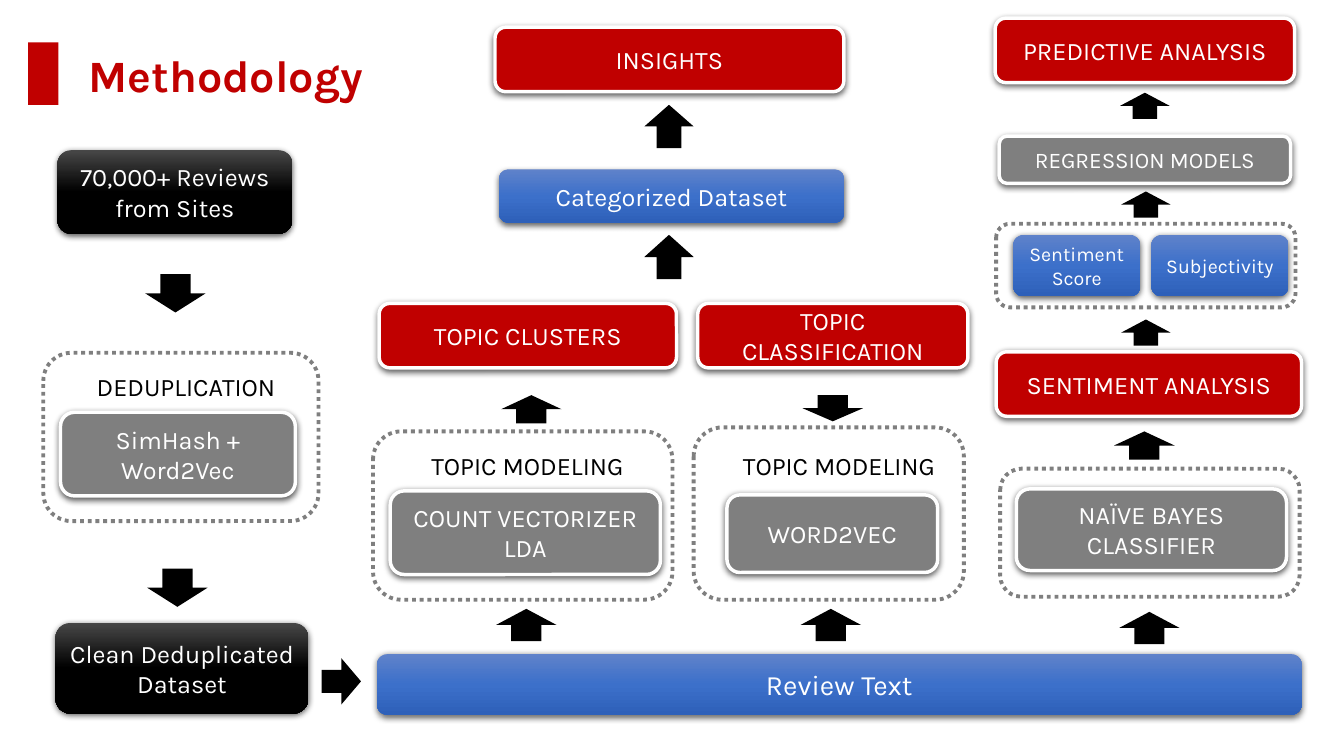
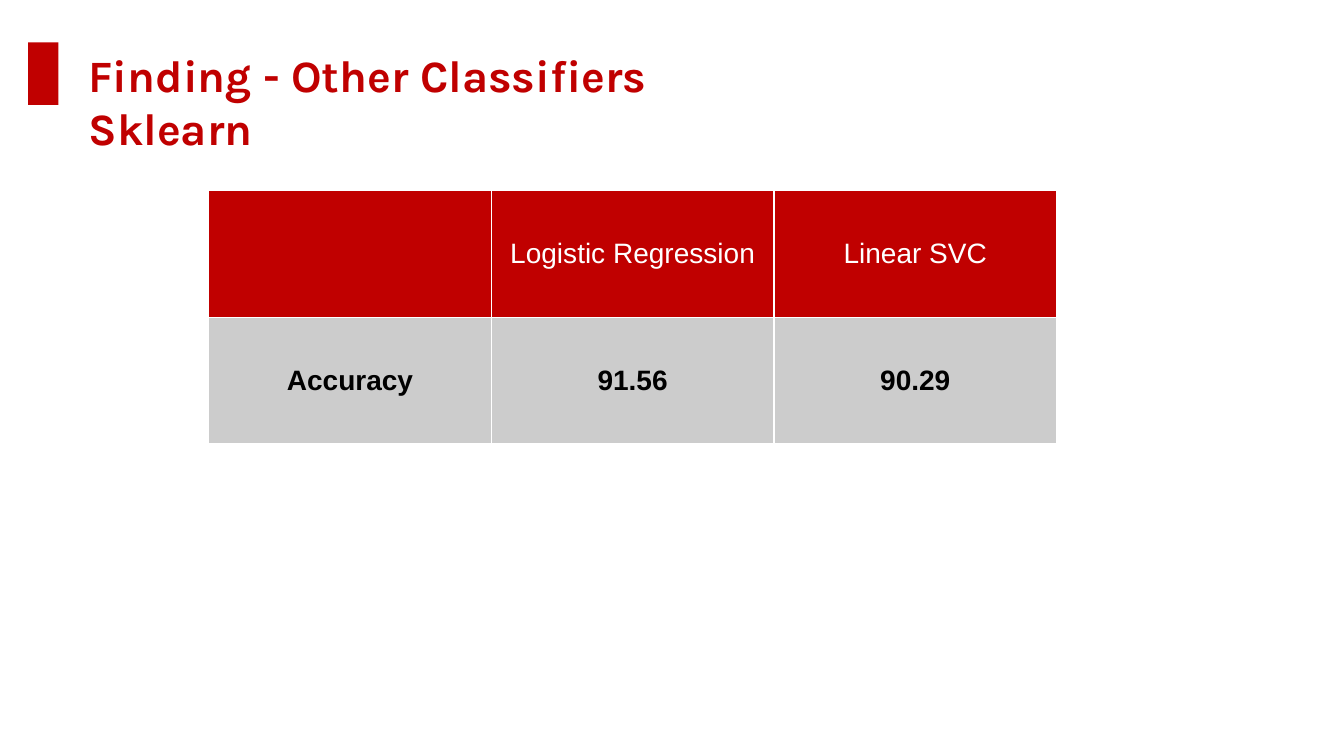
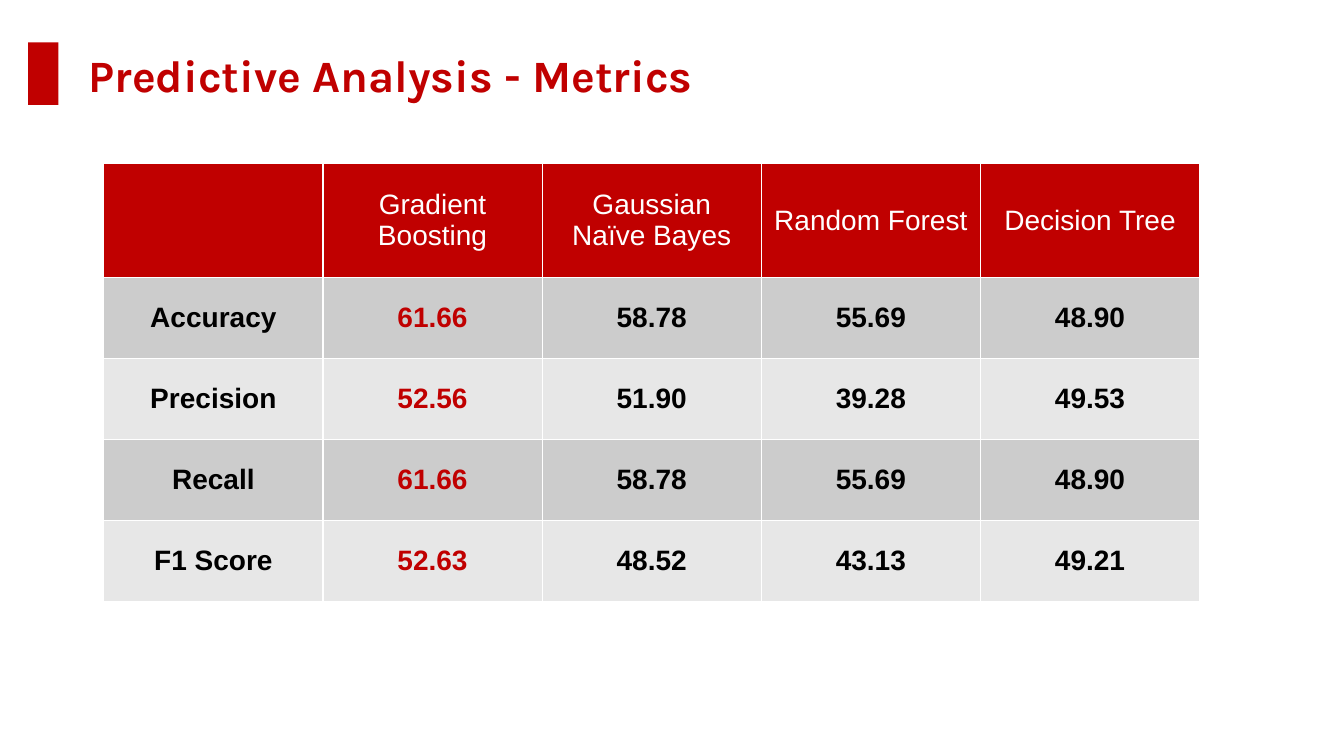
import copy
from typing import NamedTuple, Optional

import pptx
import pptx.dml.color
import pptx.enum.dml
import pptx.enum.shapes
import pptx.enum.text
import pptx.oxml
import pptx.oxml.ns
import pptx.util
from pptx.util import Inches

SHAPE = pptx.enum.shapes.MSO_SHAPE
ALIGN = pptx.enum.text.PP_ALIGN
MIDDLE = pptx.enum.text.MSO_ANCHOR.MIDDLE
qn = pptx.oxml.ns.qn
NS = pptx.oxml.ns.nsdecls("a")

# Shared look
RED, GRAY, BLACK, WHITE = "C00000", "7F7F7F", "000000", "FFFFFF"
BAND_DARK, BAND_LIGHT = "CCCCCC", "E7E7E7"
HEADING_FONT, TABLE_FONT = "Karla", "Arial"
BLACK_FADE = ("474747", "000000", "000000")
BLUE_FADE = ("5F82CA", "3C70CA", "2E60B9")


class Style(NamedTuple):
    fill: Optional[str] = None
    fade: tuple[str, ...] = ()
    outlined: bool = True


SOURCE = Style(fade=BLACK_FADE, outlined=False)
DATA = Style(fade=BLUE_FADE, outlined=False)
METHOD = Style(fill=GRAY)
RESULT = Style(fill=RED)


class Step(NamedTuple):
    text: str
    style: Style
    left: float
    top: float
    width: float
    height: float
    size: int = 18


class Box(NamedTuple):
    left: float
    top: float
    width: float
    height: float


class Arrow(NamedTuple):
    kind: SHAPE
    box: Box


class Label(NamedTuple):
    text: str
    box: Box


# Methodology content
STEPS = [
    Step("70,000+ Reviews from Sites", SOURCE, 0.57, 1.49, 2.33, 0.83),
    Step("SimHash +\nWord2Vec", METHOD, 0.6, 4.09, 2.33, 0.83),
    Step("Clean Deduplicated\nDataset", SOURCE, 0.55, 6.18, 2.51, 0.9),
    Step("Review Text", DATA, 3.74, 6.49, 9.17, 0.6, 20),
    Step("COUNT VECTORIZER\nLDA", METHOD, 3.87, 4.87, 2.68, 0.83),
    Step("WORD2VEC", METHOD, 7.21, 4.91, 2.09, 0.77),
    Step("NAÏVE BAYES\nCLASSIFIER", METHOD, 10.08, 4.85, 2.68, 0.81),
    Step("TOPIC CLUSTERS", RESULT, 3.76, 3.01, 2.95, 0.64),
    Step("TOPIC CLASSIFICATION", RESULT, 6.92, 3.01, 2.68, 0.64),
    Step("SENTIMENT ANALYSIS", RESULT, 9.88, 3.49, 3.03, 0.64),
    Step("Sentiment Score", DATA, 10.05, 2.33, 1.26, 0.61, 14),
    Step("Subjectivity", DATA, 11.42, 2.33, 1.36, 0.61, 14),
    Step("REGRESSION MODELS", METHOD, 9.91, 1.35, 2.89, 0.47, 16),
    Step("PREDICTIVE ANALYSIS", RESULT, 9.87, 0.18, 2.97, 0.64),
    Step("Categorized Dataset", DATA, 4.95, 1.68, 3.42, 0.53),
    Step("INSIGHTS", RESULT, 4.91, 0.27, 3.46, 0.64),
]
GROUP_FRAMES = [
    Box(0.43, 3.5, 2.73, 1.67),
    Box(3.7, 4.28, 2.97, 1.67),
    Box(6.88, 4.24, 2.68, 1.71),
    Box(9.88, 2.22, 2.97, 0.83),
    Box(9.92, 4.65, 2.97, 1.27),
]
GROUP_LABELS = [
    Label("DEDUPLICATION", Box(0.86, 3.63, 2.19, 0.4)),
    Label("TOPIC MODELING", Box(4.18, 4.42, 2.48, 0.4)),
    Label("TOPIC MODELING", Box(7.27, 4.42, 2.48, 0.4)),
]
UP, DOWN, RIGHT = SHAPE.UP_ARROW, SHAPE.DOWN_ARROW, SHAPE.RIGHT_ARROW
ARROWS = [
    Arrow(DOWN, Box(1.44, 2.72, 0.6, 0.38)),
    Arrow(DOWN, Box(1.46, 5.64, 0.6, 0.38)),
    Arrow(RIGHT, Box(3.19, 6.53, 0.39, 0.46)),
    Arrow(UP, Box(4.92, 6.04, 0.6, 0.32)),
    Arrow(UP, Box(7.94, 6.04, 0.6, 0.32)),
    Arrow(UP, Box(11.1, 6.07, 0.6, 0.32)),
    Arrow(UP, Box(4.97, 3.92, 0.6, 0.28)),
    Arrow(DOWN, Box(7.96, 3.92, 0.6, 0.26)),
    Arrow(UP, Box(11.05, 4.28, 0.6, 0.28)),
    Arrow(UP, Box(11.12, 3.17, 0.49, 0.26)),
    Arrow(UP, Box(11.12, 1.9, 0.49, 0.26)),
    Arrow(UP, Box(11.11, 0.92, 0.49, 0.26)),
    Arrow(UP, Box(6.39, 2.33, 0.49, 0.44)),
    Arrow(UP, Box(6.39, 1.04, 0.49, 0.43)),
]

# Table content
CLASSIFIER_ROWS = [
    ["", "Logistic Regression", "Linear SVC"],
    ["Accuracy", "91.56", "90.29"],
]
METRIC_ROWS = [
    ["", "Gradient Boosting", "Gaussian Naïve Bayes", "Random Forest", "Decision Tree"],
    ["Accuracy", "61.66", "58.78", "55.69", "48.90"],
    ["Precision", "52.56", "51.90", "39.28", "49.53"],
    ["Recall", "61.66", "58.78", "55.69", "48.90"],
    ["F1 Score", "52.63", "48.52", "43.13", "49.21"],
]


def rgb(color: str) -> pptx.dml.color.RGBColor:
    return pptx.dml.color.RGBColor.from_string(color)


def inches(box: Box) -> list[int]:
    return [Inches(length) for length in box]


def write_text(frame, text: str, *, size: int, color: str, font: str = HEADING_FONT,
               bold: bool = False, align=ALIGN.LEFT) -> None:
    for index, line in enumerate(text.split("\n")):
        paragraph = frame.add_paragraph() if index else frame.paragraphs[0]
        paragraph.alignment = align
        run = paragraph.add_run()
        run.text = line
        run.font.name, run.font.size, run.font.bold = font, pptx.util.Pt(size), bold
        run.font.color.rgb = rgb(color)


def add_text_box(slide, text: str, box: Box, **text_format) -> None:
    frame = slide.shapes.add_textbox(*inches(box)).text_frame
    frame.word_wrap = True
    write_text(frame, text, **text_format)


def add_plain_shape(slide, kind: SHAPE, box: Box, fill: Optional[str] = None):
    shape = slide.shapes.add_shape(kind, *inches(box))
    shape.shadow.inherit = False
    shape.line.fill.background()
    if fill:
        shape.fill.solid()
        shape.fill.fore_color.rgb = rgb(fill)
    else:
        shape.fill.background()
    return shape


def set_fade(shape, colors: tuple[str, ...]) -> None:
    """Fill from top to bottom with evenly spaced colours."""
    shape.fill.gradient()
    shape.fill.gradient_angle = 270
    stops = shape.element.spPr.find(".//" + qn("a:gsLst"))
    for stop in list(stops):
        stops.remove(stop)
    for index, color in enumerate(colors):
        position = index * 100000 // (len(colors) - 1)
        stops.append(pptx.oxml.parse_xml(
            f'<a:gs {NS} pos="{position}"><a:srgbClr val="{color}"/></a:gs>'))


def add_soft_shadow(shape) -> None:
    shape.element.spPr.find(qn("a:effectLst")).append(pptx.oxml.parse_xml(
        f'<a:outerShdw {NS} blurRad="57150" dist="19050" dir="5400000" algn="ctr" '
        f'rotWithShape="0"><a:srgbClr val="{BLACK}"><a:alpha val="63000"/>'
        '</a:srgbClr></a:outerShdw>'))


def add_step(slide, step: Step) -> None:
    box = Box(step.left, step.top, step.width, step.height)
    shape = add_plain_shape(slide, SHAPE.ROUNDED_RECTANGLE, box, step.style.fill)
    if step.style.fade:
        set_fade(shape, step.style.fade)
    if step.style.outlined:
        shape.line.color.rgb = rgb(WHITE)
        shape.line.width = pptx.util.Pt(2.5)
    add_soft_shadow(shape)
    shape.text_frame.word_wrap = True
    shape.text_frame.vertical_anchor = MIDDLE
    write_text(shape.text_frame, step.text, size=step.size, color=WHITE, align=ALIGN.CENTER)


def add_group_frame(slide, box: Box) -> None:
    frame = add_plain_shape(slide, SHAPE.ROUNDED_RECTANGLE, box)
    frame.line.color.rgb = rgb(GRAY)
    frame.line.width = pptx.util.Pt(2.75)
    frame.line.dash_style = pptx.enum.dml.MSO_LINE.ROUND_DOT


def add_cell_borders(cell) -> None:
    properties = cell._tc.get_or_add_tcPr()
    for side in ("lnL", "lnR", "lnT", "lnB"):
        properties.append(pptx.oxml.parse_xml(
            f'<a:{side} {NS} w="12700"><a:solidFill><a:srgbClr val="{WHITE}"/>'
            f'</a:solidFill></a:{side}>'))


def add_score_table(slide, rows: list[list[str]], box: Box, header_height: float,
                    best_column: Optional[int] = None) -> None:
    table = slide.shapes.add_table(len(rows), len(rows[0]), *inches(box)).table
    body_height = (box.height - header_height) / (len(rows) - 1)
    for row, values in enumerate(rows):
        header = row == 0
        table.rows[row].height = Inches(header_height if header else body_height)
        band = RED if header else BAND_DARK if row % 2 else BAND_LIGHT
        for column, value in enumerate(values):
            cell = table.cell(row, column)
            add_cell_borders(cell)
            cell.fill.solid()
            cell.fill.fore_color.rgb = rgb(band)
            cell.vertical_anchor = MIDDLE
            color = WHITE if header else RED if column == best_column else BLACK
            if value:
                write_text(cell.text_frame, value, size=20, color=color, font=TABLE_FONT,
                           bold=not header, align=ALIGN.CENTER)


def add_titled_slide(deck, title: str, title_height: float = 0.64):
    slide = deck.slides.add_slide(deck.slide_layouts[6])
    add_plain_shape(slide, SHAPE.RECTANGLE, Box(0.28, 0.42, 0.3, 0.62), RED)
    add_text_box(slide, title, Box(0.78, 0.42, 6.67, title_height),
                 size=32, color=RED, bold=True)
    return slide


def main() -> None:
    deck = pptx.Presentation()
    deck.slide_width, deck.slide_height = Inches(13.33), Inches(7.5)

    # Methodology flow
    methodology = add_titled_slide(deck, "Methodology")
    for frame in GROUP_FRAMES:
        add_group_frame(methodology, frame)
    for step in STEPS:
        add_step(methodology, step)
    for label in GROUP_LABELS:
        add_text_box(methodology, label.text, label.box, size=18, color=BLACK)
    for arrow in ARROWS:
        add_plain_shape(methodology, arrow.kind, arrow.box, BLACK)

    # Classifier accuracy
    classifiers = add_titled_slide(deck, "Finding - Other Classifiers Sklearn", 1.18)
    add_score_table(classifiers, CLASSIFIER_ROWS, Box(2.07, 1.89, 8.41, 2.51), 1.26)

    # Prediction metrics
    metrics = add_titled_slide(deck, "Predictive Analysis - Metrics")
    add_score_table(metrics, METRIC_ROWS, Box(1.03, 1.62, 10.87, 4.35), 1.13, best_column=1)

    deck.save("out.pptx")


if __name__ == "__main__":
    main()
